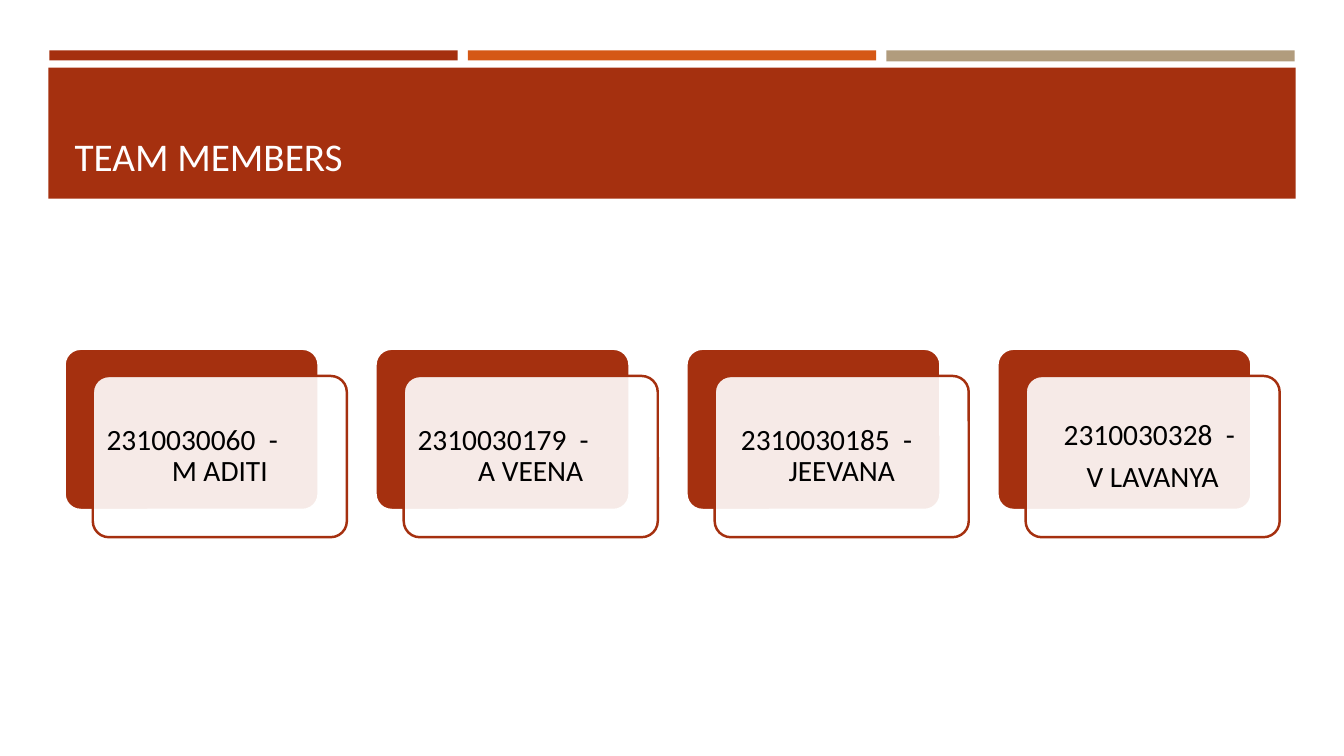
from lxml import etree
from pptx import Presentation
from pptx.dml.color import RGBColor
from pptx.enum import shapes, text
from pptx.oxml.ns import qn
from pptx.util import Inches, Pt

# Content
TITLE = "TEAM MEMBERS"
MEMBERS = [
    ["2310030060  -\t\tM ADITI"],
    ["2310030179  -\t\tA VEENA"],
    ["2310030185  - \tJEEVANA"],
    ["2310030328  - ", "V LAVANYA"],
]
COLORS = {"red": "A5300F", "orange": "D55816", "tan": "B19C7D",
          "white": "FFFFFF", "title": "FFFEFF", "black": "000000"}
FONT = "Calibri"

# Layout, in inches
BARS = [("red", 0.1), ("orange", 0.1), ("tan", 0.11)]
BAR_LEFT, BAR_TOP, BAR_WIDTH, BAR_STEP = 0.49, 0.5, 4.05, 4.15
BAND = (0.48, 0.67, 12.37, 1.3)
TITLE_BOX = (0.64, 0.77, 12.06, 1.11)
CARD_LEFT, CARD_TOP, CARD_STEP = 0.64, 3.46, 3.084
CARD_WIDTH, CARD_HEIGHT = 2.52, 1.6
CARD_SHIFT = 0.28, 0.27


def color(name):
    return RGBColor.from_string(COLORS[name])


def add_block(slide, kind, box, fill, line=None, opacity=None):
    block = slide.shapes.add_shape(kind, *map(Inches, box))
    block.shadow.inherit = False
    block.fill.solid()
    block.fill.fore_color.rgb = color(fill)
    if opacity is not None:
        fill_color = block.fill._xPr.find(qn("a:solidFill"))[0]
        etree.SubElement(fill_color, qn("a:alpha"), val=str(opacity * 1000))
    if line:
        block.line.color.rgb = color(line)
        block.line.width = Pt(1.75)
    else:
        block.line.fill.background()
    return block


def write(shape, lines, size, ink, align, anchor, spacing=1.0, after=0, inset=0.1):
    frame = shape.text_frame
    frame.word_wrap = True
    frame.auto_size = text.MSO_AUTO_SIZE.NONE
    frame.vertical_anchor = anchor
    frame.margin_left = frame.margin_right = Inches(inset)
    frame.margin_top = frame.margin_bottom = Inches(inset)
    for index, line in enumerate(lines):
        paragraph = frame.add_paragraph() if index else frame.paragraphs[0]
        paragraph.alignment = align
        paragraph.line_spacing = spacing
        paragraph.space_before = Pt(0)
        paragraph.space_after = Pt(after)
        run = paragraph.add_run()
        run.text = line
        run.font.name, run.font.size = FONT, Pt(size)
        run.font.color.rgb = color(ink)


def add_card(slide, left, lines):
    rounded = shapes.MSO_SHAPE.ROUNDED_RECTANGLE
    back = add_block(slide, rounded, (left, CARD_TOP, CARD_WIDTH, CARD_HEIGHT),
                     "red", line="white")
    front = add_block(slide, rounded,
                      (left + CARD_SHIFT[0], CARD_TOP + CARD_SHIFT[1],
                       CARD_WIDTH, CARD_HEIGHT),
                      "white", line="red", opacity=90)
    for panel in (back, front):
        panel.adjustments[0] = 0.1
    write(front, lines, 21, "black", text.PP_ALIGN.CENTER,
          text.MSO_ANCHOR.MIDDLE, spacing=0.9, after=7.35, inset=0.09)


def main():
    deck = Presentation()
    deck.slide_width, deck.slide_height = Inches(13.33), Inches(7.5)
    slide = deck.slides.add_slide(deck.slide_layouts[5])

    # Header bars and band
    rectangle = shapes.MSO_SHAPE.RECTANGLE
    for index, (fill, height) in enumerate(BARS):
        left = BAR_LEFT + index * BAR_STEP
        add_block(slide, rectangle, (left, BAR_TOP, BAR_WIDTH, height), fill)
    add_block(slide, rectangle, BAND, "red")

    # Title, raised above the band
    title = slide.shapes.title
    title.left, title.top, title.width, title.height = map(Inches, TITLE_BOX)
    write(title, [TITLE], 28, "title", text.PP_ALIGN.LEFT, text.MSO_ANCHOR.BOTTOM)
    slide.shapes._spTree.append(title._element)

    # Member cards
    for index, lines in enumerate(MEMBERS):
        add_card(slide, CARD_LEFT + index * CARD_STEP, lines)

    deck.save("out.pptx")


if __name__ == "__main__":
    main()
